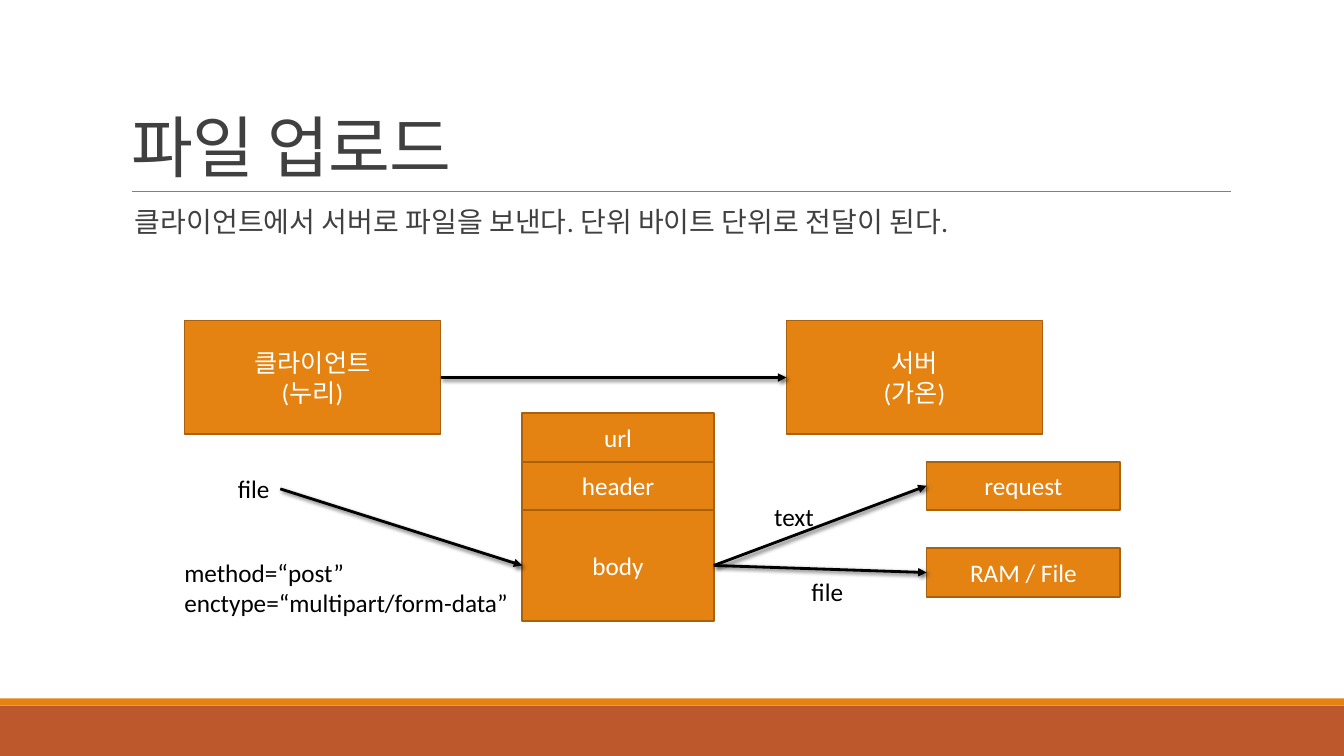
from lxml.etree import SubElement
from pptx import Presentation
from pptx.dml.color import RGBColor
from pptx.enum.shapes import MSO_CONNECTOR, MSO_SHAPE
from pptx.enum.text import MSO_ANCHOR, MSO_AUTO_SIZE, PP_ALIGN
from pptx.oxml.ns import qn
from pptx.util import Inches, Pt

WIDTH, HEIGHT = 13.33, 7.5
ORANGE, RUST, BROWN = "E48312", "BD582C", "A9610D"
DARK, GREY, BLACK, WHITE = "404040", "808080", "000000", "FFFFFF"

TITLE = "파일 업로드"
SUMMARY = "클라이언트에서 서버로 파일을 보낸다. 단위 바이트 단위로 전달이 된다."

# Columns: left edge and width; rows: top edge and height
COLUMNS = {"client": (1.83, 2.54), "message": (5.18, 1.9),
           "server": (7.8, 2.54), "target": (9.19, 1.92)}
ROWS = {"host": (3.18, 1.13), "url": (4.1, 0.48), "header": (4.58, 0.48),
        "body": (5.06, 1.1), "memory": (5.44, 0.48)}

# Name: column, row, lines of text
BOXES = {
    "client": ("client", "host", ["클라이언트", "(누리)"]),
    "server": ("server", "host", ["서버", "(가온)"]),
    "url": ("message", "url", ["url"]),
    "header": ("message", "header", ["header"]),
    "body": ("message", "body", ["body"]),
    "request": ("target", "header", ["request"]),
    "memory": ("target", "memory", ["RAM / File"]),
}
# Name: left, top, width, height, lines of text
LABELS = {
    "sent file": (2.26, 4.65, 0.52, 0.4, ["file"]),
    "text part": (7.58, 4.92, 0.6, 0.4, ["text"]),
    "file part": (7.95, 5.67, 0.52, 0.4, ["file"]),
    "form": (1.73, 5.48, 3.44, 0.71,
             ["method=“post”", "enctype=“multipart/form-data”"]),
}
ARROWS = [("client", "server"), ("sent file", "body"),
          ("body", "request"), ("body", "memory")]
LEFT_SITE, RIGHT_SITE = 1, 3


def color(value):
    return RGBColor.from_string(value)


def write(shape, lines, size=18, ink=BLACK, align=PP_ALIGN.LEFT,
          anchor=MSO_ANCHOR.TOP, wrap=True, fit=MSO_AUTO_SIZE.NONE,
          spacing=1.0, before=0, after=0):
    frame = shape.text_frame
    frame.word_wrap, frame.auto_size = wrap, fit
    frame.vertical_anchor = anchor
    for index, line in enumerate(lines):
        para = frame.add_paragraph() if index else frame.paragraphs[0]
        para.alignment, para.line_spacing = align, spacing
        para.space_before, para.space_after = Pt(before), Pt(after)
        span = para.add_run()
        span.text = line
        span.font.name, span.font.size = "Calibri", Pt(size)
        span.font.color.rgb = color(ink)
    return frame


def add_box(slide, left, top, width, height, fill, outline=None):
    box = slide.shapes.add_shape(MSO_SHAPE.RECTANGLE, Inches(left), Inches(top),
                                 Inches(width), Inches(height))
    box.shadow.inherit = False
    box.fill.solid()
    box.fill.fore_color.rgb = color(fill)
    if outline:
        box.line.color.rgb = color(outline)
        box.line.width = Pt(1.25)
    else:
        box.line.fill.background()
    return box


def add_line(slide, left, right, top, ink, weight):
    """Draw a level line; return it with its empty effect list."""
    line = slide.shapes.add_connector(MSO_CONNECTOR.STRAIGHT, Inches(left),
                                      Inches(top), Inches(right), Inches(top))
    line.line.color.rgb = color(ink)
    line.line.width = Pt(weight)
    return line, SubElement(line._element.spPr, qn("a:effectLst"))


def add_arrow(slide, start, end):
    arrow, effects = add_line(slide, 0, 1, 0, BLACK, 2)
    arrow.begin_connect(start, RIGHT_SITE)
    arrow.end_connect(end, LEFT_SITE)
    SubElement(arrow.line._get_or_add_ln(), qn("a:tailEnd"), type="triangle")
    shadow = SubElement(effects, qn("a:outerShdw"), blurRad=str(Pt(3)),
                        dist=str(Pt(2)), dir=str(45 * 60000), rotWithShape="0")
    ink = SubElement(shadow, qn("a:srgbClr"), val=BLACK)
    SubElement(ink, qn("a:alpha"), val="60000")


def add_heading(slide):
    title = slide.shapes.title
    title.left, title.top = Inches(1.2), Inches(0.31)
    title.width, title.height = Inches(11), Inches(1.59)
    frame = write(title, [TITLE], size=48, ink=DARK,
                  anchor=MSO_ANCHOR.BOTTOM, spacing=0.85)
    frame.paragraphs[0].runs[0].font._element.set("spc", "-50")

    summary = slide.shapes.add_textbox(Inches(1.2), Inches(2.02),
                                       Inches(11), Inches(0.64))
    frame = write(summary, [SUMMARY], size=20, ink=DARK,
                  spacing=0.9, before=12, after=2)
    frame.margin_left = frame.margin_right = 0
    properties = frame.paragraphs[0]._p.get_or_add_pPr()
    properties.set("marL", str(Inches(0.1)))
    properties.set("indent", str(-Inches(0.1)))
    bullet_color = SubElement(properties, qn("a:buClr"))
    SubElement(bullet_color, qn("a:srgbClr"), val=ORANGE)
    SubElement(properties, qn("a:buChar"), char=" ")


def main():
    deck = Presentation()
    deck.slide_width, deck.slide_height = Inches(WIDTH), Inches(HEIGHT)
    slide = deck.slides.add_slide(deck.slide_layouts[5])

    add_box(slide, 0, 7, WIDTH, 0.5, RUST)
    add_box(slide, 0, 6.93, WIDTH, 0.07, ORANGE)
    add_line(slide, 1.31, 12.21, 1.9, GREY, 0.5)
    add_heading(slide)

    parts = {}
    for name, (column, row, lines) in BOXES.items():
        (left, width), (top, height) = COLUMNS[column], ROWS[row]
        parts[name] = add_box(slide, left, top, width, height, ORANGE, BROWN)
        write(parts[name], lines, ink=WHITE, align=PP_ALIGN.CENTER,
              anchor=MSO_ANCHOR.MIDDLE)
    for name, (*place, lines) in LABELS.items():
        parts[name] = slide.shapes.add_textbox(*map(Inches, place))
        write(parts[name], lines, wrap=False, fit=MSO_AUTO_SIZE.SHAPE_TO_FIT_TEXT)
    for start, end in ARROWS:
        add_arrow(slide, parts[start], parts[end])

    deck.save("out.pptx")


if __name__ == "__main__":
    main()
